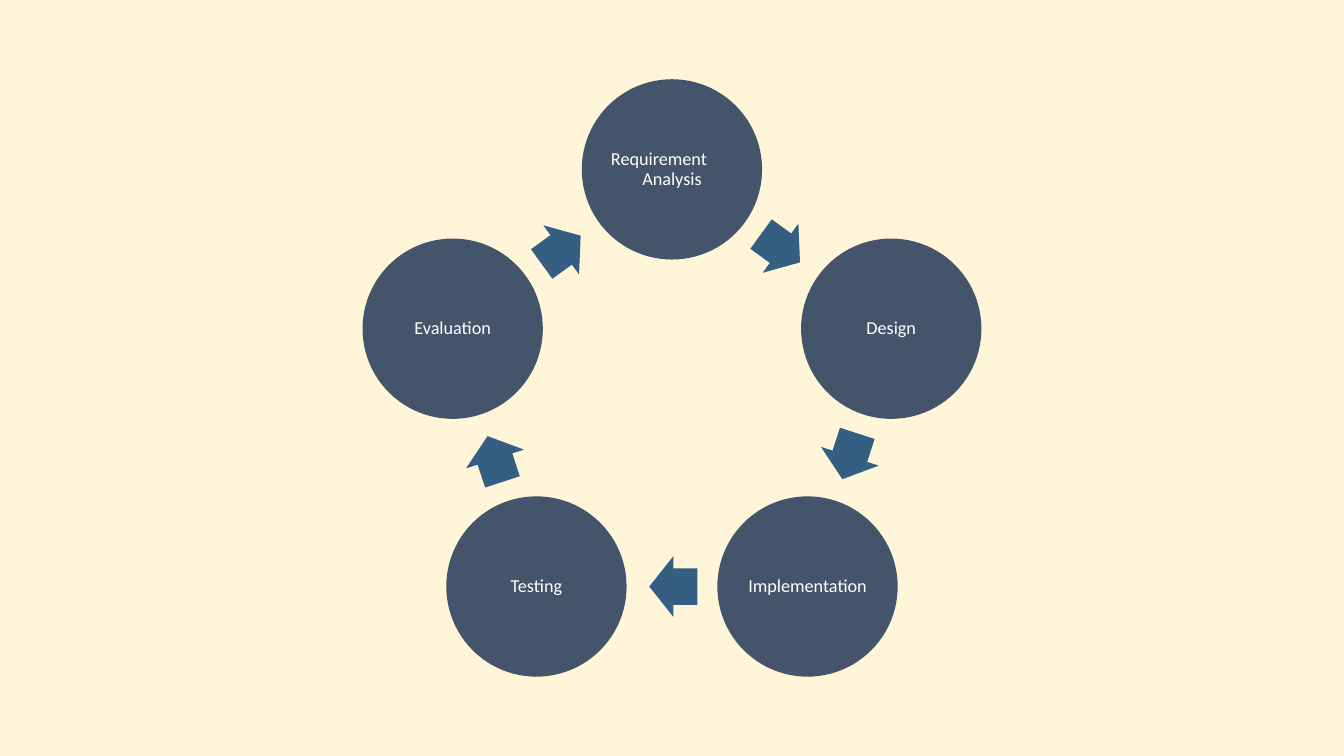
from math import cos, radians, sin

from lxml.etree import SubElement
from pptx import Presentation
from pptx.dml.color import RGBColor
from pptx.enum.shapes import MSO_SHAPE
from pptx.enum.text import MSO_ANCHOR, PP_ALIGN
from pptx.oxml.ns import qn
from pptx.util import Pt

BACKGROUND = RGBColor(0xFF, 0xF5, 0xD9)
CIRCLE_FILL = RGBColor(0x44, 0x54, 0x6A)
ARROW_FILL = RGBColor(0x1F, 0x4E, 0x79)
WHITE = RGBColor(0xFF, 0xFF, 0xFF)

STEPS = [
    ["Requirement", "Analysis"],
    ["Design"],
    ["Implementation"],
    ["Testing"],
    ["Evaluation"],
]
CENTER_X, CENTER_Y, RADIUS = 480, 285.7, 164.7
DIAMETER = 128.8
ARROW_LENGTH, ARROW_WIDTH = 34.4, 43.4
ARROW_SETBACK = 1
STEP_ANGLE = 360 / len(STEPS)


def add_centered(kind, x, y, width, height, color):
    """Add a plain filled shape around the point x, y."""
    shape = page.shapes.add_shape(
        kind, Pt(x - width / 2), Pt(y - height / 2), Pt(width), Pt(height))
    shape.shadow.inherit = False
    shape.fill.solid()
    shape.fill.fore_color.rgb = color
    shape.line.fill.background()
    return shape


def write_lines(shape, lines, font="Calibri", size=13, color=WHITE, margin=2):
    frame = shape.text_frame
    frame.word_wrap = True
    frame.vertical_anchor = MSO_ANCHOR.MIDDLE
    frame.margin_left = frame.margin_right = Pt(margin)
    frame.margin_top = frame.margin_bottom = Pt(margin)
    for index, line in enumerate(lines):
        para = frame.paragraphs[0] if index == 0 else frame.add_paragraph()
        last = index == len(lines) - 1
        para.alignment = PP_ALIGN.CENTER if last else PP_ALIGN.LEFT
        para.line_spacing = 0.9
        span = para.add_run()
        span.text = line
        span.font.name = font
        span.font.size = Pt(size)
        span.font.color.rgb = color


deck = Presentation()
deck.slide_width, deck.slide_height = Pt(960), Pt(540)
page = deck.slides.add_slide(deck.slide_layouts[6])
page.background.fill.solid()
page.background.fill.fore_color.rgb = BACKGROUND

arrow_radius = RADIUS * cos(radians(STEP_ANGLE / 2))
for number, lines in enumerate(STEPS):
    angle = radians(number * STEP_ANGLE)
    circle = add_centered(
        MSO_SHAPE.OVAL, CENTER_X + RADIUS * sin(angle),
        CENTER_Y - RADIUS * cos(angle), DIAMETER, DIAMETER, CIRCLE_FILL)
    write_lines(circle, lines)

    # Each arrow sits midway to the next circle, set back slightly.
    heading = (number + 0.5) * STEP_ANGLE
    across, along = sin(radians(heading)), cos(radians(heading))
    arrow = add_centered(
        MSO_SHAPE.RIGHT_ARROW,
        CENTER_X + arrow_radius * across - ARROW_SETBACK * along,
        CENTER_Y - arrow_radius * along - ARROW_SETBACK * across,
        ARROW_LENGTH, ARROW_WIDTH, ARROW_FILL)
    arrow.rotation = heading
    arrow.adjustments[0] = 0.6
    arrow.adjustments[1] = 0.5
    color = arrow.fill._xPr.find(qn("a:solidFill"))[0]
    SubElement(color, qn("a:alpha"), val="90000")

deck.save("out.pptx")
